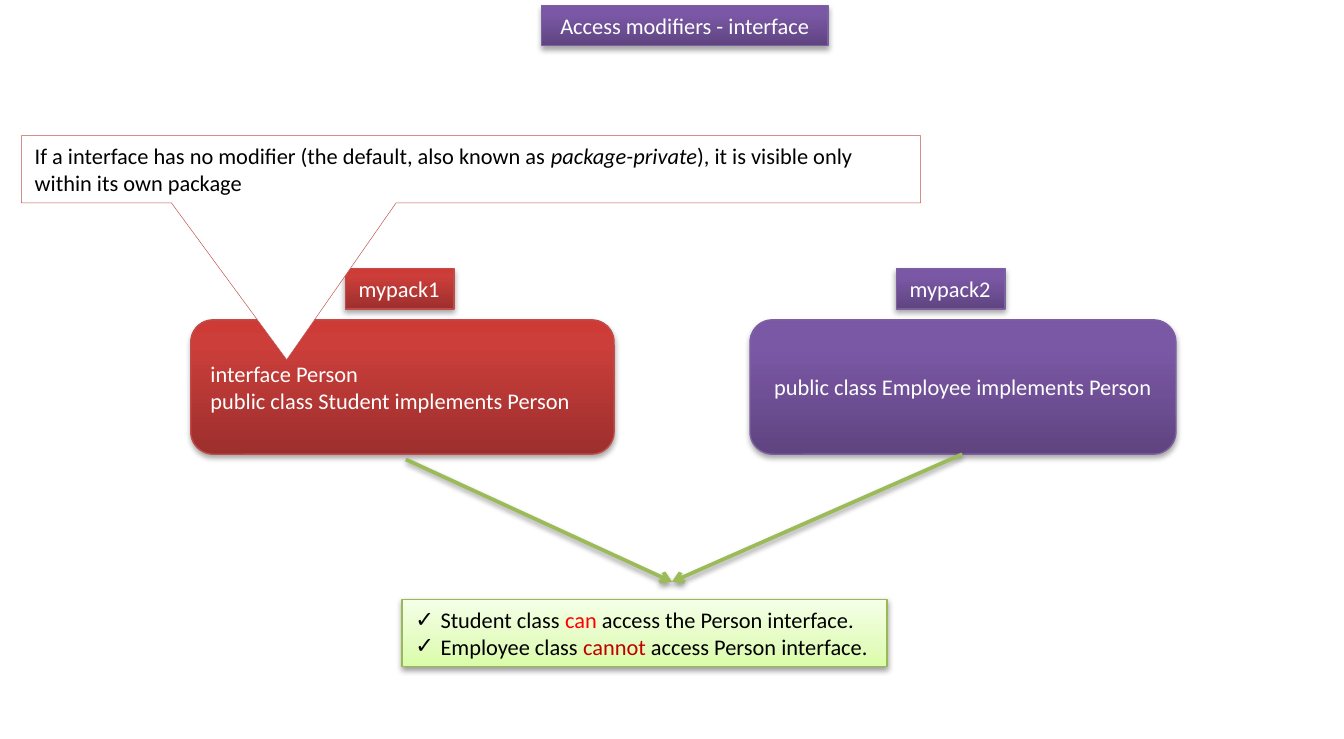
from copy import deepcopy

from lxml.etree import SubElement
from pptx import Presentation
from pptx.dml.color import RGBColor
from pptx.enum.shapes import MSO_CONNECTOR, MSO_SHAPE
from pptx.enum.text import MSO_ANCHOR, MSO_AUTO_SIZE, PP_ALIGN
from pptx.oxml.ns import qn
from pptx.util import Pt

COLORS = {
    "white": "FFFFFF", "black": "000000", "can": "FF0000", "cannot": "C00000",
    "callout": "C0504D", "arrow": "9BBB59",
}
# Each theme: gradient stops from bottom to top, outline, shadow opacity
THEMES = {
    "red": ([(0, "9C2F2D"), (0.8, "CB3E3A"), (1, "CE3B37")], "BF4C48", 35),
    "purple": ([(0, "5F4480"), (0.8, "7B58A6"), (1, "7C57A8")], "7D60A0", 35),
    "green": ([(0, "DAFDA7"), (0.35, "E4FCC2"), (1, "F5FFE7")], "98B955", 38),
}


def style_box(shape, theme):
    """Give a shape its gradient, outline and soft shadow."""
    stops, outline, opacity = THEMES[theme]
    shape.fill.gradient()
    shape.fill.gradient_angle = 90
    stop_list = shape._element.spPr.find(qn("a:gradFill")).find(qn("a:gsLst"))
    stop_list.append(deepcopy(stop_list[0]))
    for stop, (position, color) in zip(shape.fill.gradient_stops, stops):
        stop.position = position
        stop.color.rgb = RGBColor.from_string(color)
    shape.line.color.rgb = RGBColor.from_string(outline)
    shape.line.width = Pt(0.75)
    shape.shadow.inherit = False
    add_shadow(shape._element.spPr.find(qn("a:effectLst")), opacity)


def add_shadow(effects, opacity):
    """Put a shadow straight below into an effect list."""
    shadow = SubElement(effects, qn("a:outerShdw"), blurRad=str(Pt(3.1)),
                        dist=str(Pt(1.7)), dir="5400000", rotWithShape="0")
    black = SubElement(shadow, qn("a:srgbClr"), val=COLORS["black"])
    SubElement(black, qn("a:alpha"), val=str(opacity * 1000))


prs = Presentation()
prs.slide_width, prs.slide_height = Pt(720), Pt(396)
slide = prs.slides.add_slide(prs.slide_layouts[1])
title, conclusions = slide.placeholders

# Title and conclusion list
for holder, theme, (left, top, width, height) in [
    (title, "purple", (290.2, 2.9, 153.4, 21.6)),
    (conclusions, "green", (215.3, 321.1, 259.9, 36)),
]:
    holder.left, holder.top = Pt(left), Pt(top)
    holder.width, holder.height = Pt(width), Pt(height)
    style_box(holder, theme)
    holder.text_frame.auto_size = MSO_AUTO_SIZE.NONE

heading = title.text_frame.paragraphs[0]
heading.alignment = PP_ALIGN.CENTER
run = heading.add_run()
run.text = "Access modifiers - interface"
run.font.name, run.font.size = "Calibri", Pt(12)
run.font.color.rgb = RGBColor.from_string(COLORS["white"])

findings = [
    [("Student class ", "black"), ("can", "can"),
     (" access the Person interface.", "black")],
    [("Employee class ", "black"), ("cannot", "cannot"),
     (" access Person interface.", "black")],
]
for row, finding in enumerate(findings):
    frame = conclusions.text_frame
    bullet = frame.add_paragraph() if row else frame.paragraphs[0]
    properties = bullet._p.get_or_add_pPr()
    properties.set("marL", str(Pt(13.5)))
    properties.set("indent", str(-Pt(13.5)))
    SubElement(properties, qn("a:buChar"), char="✓")
    bullet.space_before = Pt(0)
    for text, color in finding:
        run = bullet.add_run()
        run.text = text
        run.font.name, run.font.size = "Calibri", Pt(12)
        run.font.color.rgb = RGBColor.from_string(COLORS[color])

# Packages with their name tags, then the callout on top
boxes = [
    (MSO_SHAPE.ROUNDED_RECTANGLE, "red", (102.2, 171.4, 226.8, 72), PP_ALIGN.LEFT,
     [["interface Person"], ["public class Student implements Person"]]),
    (MSO_SHAPE.ROUNDED_RECTANGLE, "purple", (401.8, 171.4, 228.2, 72),
     PP_ALIGN.CENTER, [["public class Employee implements Person"]]),
    (MSO_SHAPE.RECTANGLE, "red", (185, 144, 58.3, 21.6), PP_ALIGN.LEFT, [["mypack1"]]),
    (MSO_SHAPE.RECTANGLE, "purple", (480.2, 144, 58.3, 21.6), PP_ALIGN.LEFT,
     [["mypack2"]]),
    (MSO_SHAPE.RECTANGULAR_CALLOUT, None, (11.5, 72.7, 481.7, 36), PP_ALIGN.LEFT,
     [["If a interface has no modifier (the default, also known as ",
       "package-private", "), it is visible only within its own package"]]),
]
for preset, theme, place, alignment, lines in boxes:
    box = slide.shapes.add_shape(preset, *[Pt(length) for length in place])
    if theme:
        style_box(box, theme)
    else:
        box.adjustments[0], box.adjustments[1] = -0.205, 2.835
        box.fill.solid()
        box.fill.fore_color.rgb = RGBColor.from_string(COLORS["white"])
        box.line.color.rgb = RGBColor.from_string(COLORS["callout"])
        box.line.width = Pt(0.25)
        box.shadow.inherit = False
    frame = box.text_frame
    frame.word_wrap = preset != MSO_SHAPE.RECTANGLE
    frame.vertical_anchor = MSO_ANCHOR.MIDDLE
    for row, line in enumerate(lines):
        paragraph = frame.add_paragraph() if row else frame.paragraphs[0]
        paragraph.alignment = alignment
        for text in line:
            run = paragraph.add_run()
            run.text = text
            run.font.name, run.font.size = "Calibri", Pt(12)
            run.font.italic = text == "package-private"
            run.font.color.rgb = RGBColor.from_string(
                COLORS["white" if theme else "black"])

# Arrows from both packages to the conclusions
for start_x, start_y in [(217.4, 246.2), (515.5, 243.4)]:
    arrow = slide.shapes.add_connector(
        MSO_CONNECTOR.STRAIGHT, Pt(start_x), Pt(start_y), Pt(360), Pt(311.8))
    arrow.line.color.rgb = RGBColor.from_string(COLORS["arrow"])
    arrow.line.width = Pt(2)
    SubElement(arrow.line._get_or_add_ln(), qn("a:tailEnd"), type="arrow")
    add_shadow(SubElement(arrow._element.spPr, qn("a:effectLst")), 38)

prs.save("out.pptx")
